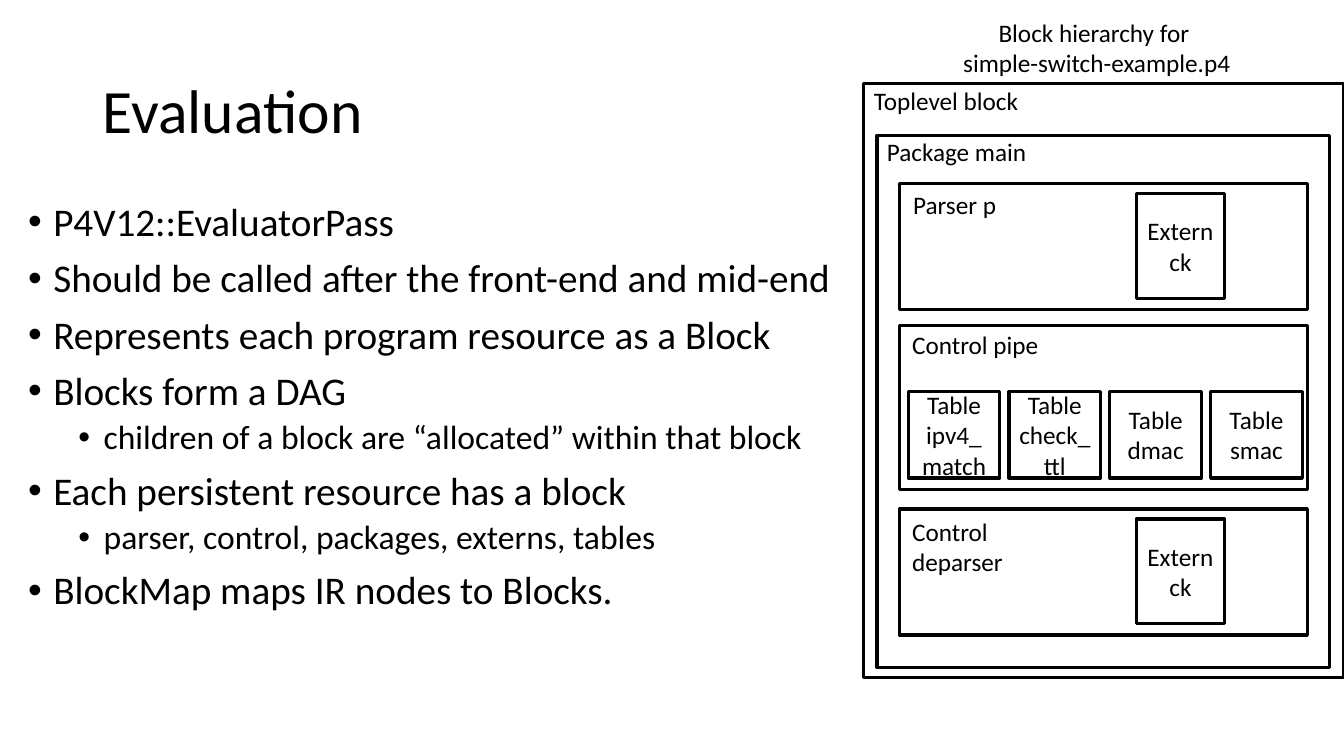
from dataclasses import dataclass

from lxml import etree
from pptx import Presentation
from pptx import util as u
from pptx.dml.color import RGBColor
from pptx.enum import shapes, text
from pptx.oxml.ns import qn


@dataclass(frozen=True)
class Theme:
    font: str = "Calibri"
    ink: RGBColor = RGBColor(0, 0, 0)
    paper: RGBColor = RGBColor(255, 255, 255)
    title: int = 44
    bullets: tuple = (28, 24)
    space_before: tuple = (10, 5)
    label: int = 18
    line: float = 2.25


THEME = Theme()
WIDTH, HEIGHT = u.Inches(13.33), u.Inches(7.5)

BULLETS = [
    (0, "P4V12::EvaluatorPass"),
    (0, "Should be called after the front-end and mid-end"),
    (0, "Represents each program resource as a Block"),
    (0, "Blocks form a DAG"),
    (1, "children of a block are “allocated” within that block"),
    (0, "Each persistent resource has a block"),
    (1, "parser, control, packages, externs, tables"),
    (0, "BlockMap maps IR nodes to Blocks."),
]

# Boxes are left, top, width, height in percent of the slide
TITLE_BOX = (6.9, 5.33, 86.25, 19.33)
BULLET_BOX = (1.35, 26.13, 62.25, 63.47)
CAPTION_BOX = (70.8, 1.6, 21.6, 9.47)
TOPLEVEL = (64.28, 11.07, 35.72, 78.53)
PACKAGE = (65.25, 17.87, 33.68, 70.4)
PARSER = (66.9, 24.27, 30.38, 16.67)
PIPE = (66.9, 43.07, 30.38, 21.73)
DEPARSER = (66.9, 67.33, 30.38, 16.67)

# Each block with its label and the label's offset from the block's corner
BLOCKS = [
    (TOPLEVEL, "Toplevel block", 0, -0.4),
    (PACKAGE, "Package main", 0, -0.54),
    (PARSER, "Parser p", 0.3, 0.13),
    (PIPE, "Control pipe", 0.23, -0.14),
    (DEPARSER, "Control deparser", 0.23, 0.27),
]
TABLES = ["ipv4_match", "check_ttl", "dmac", "smac"]
TABLE_PITCH = 7.5


def place(box):
    """Turn percentages of the slide into lengths."""
    return [int(share * side / 100)
            for share, side in zip(box, (WIDTH, HEIGHT, WIDTH, HEIGHT))]


def style(p, size, align=text.PP_ALIGN.LEFT):
    p.alignment = align
    for r in p.runs:
        r.font.name = THEME.font
        r.font.size = u.Pt(size)
        r.font.color.rgb = THEME.ink


def add_title(slide, title):
    sp = slide.shapes.title
    sp.left, sp.top, sp.width, sp.height = place(TITLE_BOX)
    tf = sp.text_frame
    tf.text = title
    tf.vertical_anchor = text.MSO_ANCHOR.MIDDLE
    tf.paragraphs[0].line_spacing = 0.9
    style(tf.paragraphs[0], THEME.title)


def add_bullets(slide, items):
    tf = slide.shapes.add_textbox(*place(BULLET_BOX)).text_frame
    tf.word_wrap = True
    tf.text = "\n".join(words for _, words in items)
    for i, (p, (level, _)) in enumerate(zip(tf.paragraphs, items)):
        p.level = level
        p.line_spacing = 0.9
        p.space_before = u.Pt(THEME.space_before[level] if i else 0)
        pPr = p._p.get_or_add_pPr()
        pPr.set("marL", str(u.Inches(0.25 + 0.5 * level)))
        pPr.set("indent", str(u.Inches(-0.25)))
        etree.SubElement(pPr, qn("a:buFont")).set("typeface", "Arial")
        etree.SubElement(pPr, qn("a:buChar")).set("char", "•")
        style(p, THEME.bullets[level])


def add_label(slide, words, box, align=text.PP_ALIGN.LEFT):
    tf = slide.shapes.add_textbox(*place(box)).text_frame
    tf.word_wrap = False
    tf.text = words
    style(tf.paragraphs[0], THEME.label, align)


def add_block(slide, box, words=""):
    sp = slide.shapes.add_shape(shapes.MSO_SHAPE.RECTANGLE, *place(box))
    sp.shadow.inherit = False
    sp.fill.solid()
    sp.fill.fore_color.rgb = THEME.paper
    sp.line.color.rgb = THEME.ink
    sp.line.width = u.Pt(THEME.line)
    if words:
        tf = sp.text_frame
        tf.word_wrap = True
        tf.vertical_anchor = text.MSO_ANCHOR.MIDDLE
        tf.text = words
        for p in tf.paragraphs:
            style(p, THEME.label, text.PP_ALIGN.CENTER)


def add_hierarchy(slide):
    add_label(slide, "Block hierarchy for \vsimple-switch-example.p4",
              CAPTION_BOX, text.PP_ALIGN.CENTER)
    # Nested blocks, outermost first
    for box, words, dx, dy in BLOCKS:
        add_block(slide, box)
        add_label(slide, words, (box[0] + dx, box[1] + dy, 14, 5.33))
    # Externs sit at the same place in the parser and the deparser
    for left, top, *_ in (PARSER, DEPARSER):
        add_block(slide, (left + 17.63, top + 1.33, 6.6, 13.87), "Extern\nck")
    # Tables share the control pipe in equal steps
    for i, name in enumerate(TABLES):
        add_block(slide, (PIPE[0] + 0.67 + i * TABLE_PITCH, PIPE[1] + 8.7, 6.83, 11.47),
                  f"Table\v{name}")


def main():
    prs = Presentation()
    prs.slide_width, prs.slide_height = WIDTH, HEIGHT
    slide = prs.slides.add_slide(prs.slide_layouts.get_by_name("Title Only"))
    add_title(slide, "Evaluation")
    add_bullets(slide, BULLETS)
    add_hierarchy(slide)
    prs.save("out.pptx")


if __name__ == "__main__":
    main()
